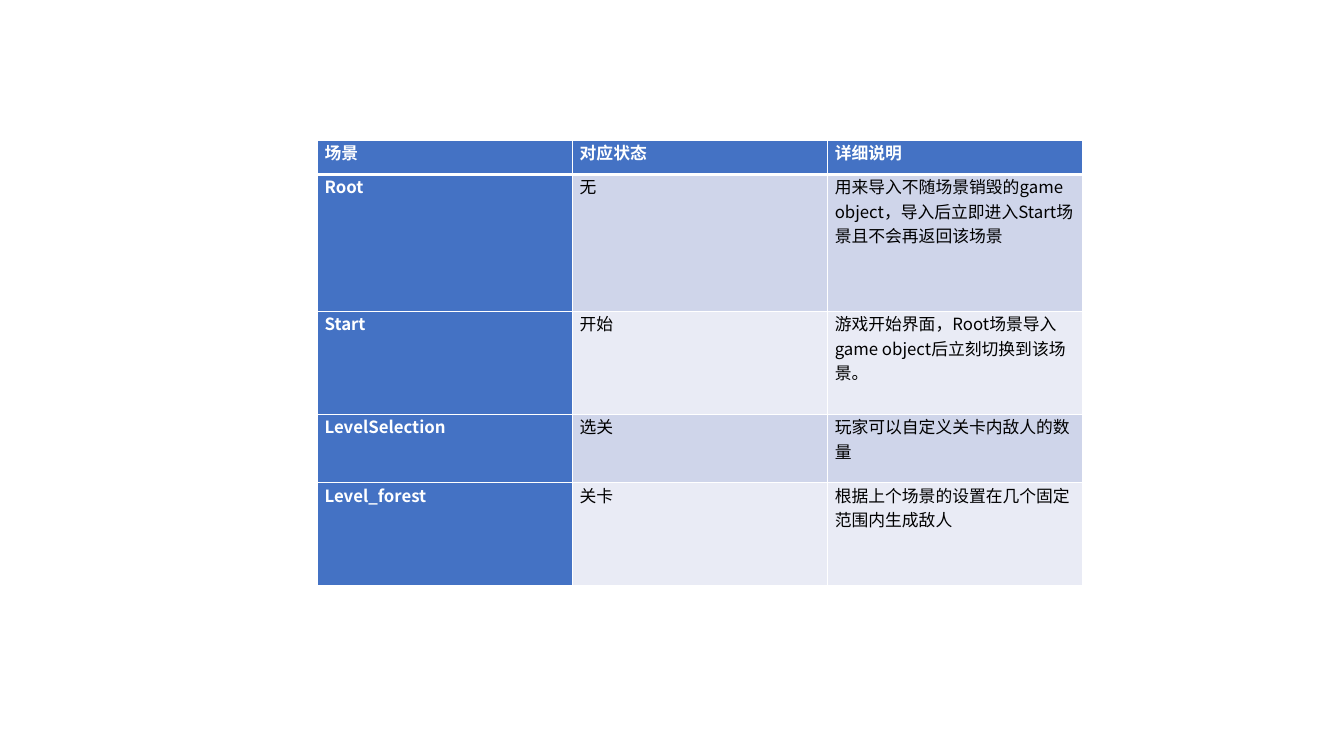
"""Build a slide with a table of game scenes and their states."""
import lxml.etree
import pptx
import pptx.dml.color
import pptx.oxml.ns
import pptx.util

ROWS = [
    ("场景", "对应状态", "详细说明"),
    ("Root", "无", "用来导入不随场景销毁的game object，导入后立即进入Start场景且不会再返回该场景"),
    ("Start", "开始", "游戏开始界面，Root场景导入game object后立刻切换到该场景。"),
    ("LevelSelection", "选关", "玩家可以自定义关卡内敌人的数量"),
    ("Level_forest", "关卡", "根据上个场景的设置在几个固定范围内生成敌人"),
]
ROW_LINES = (1, 4, 3, 2, 3)
LINE_HEIGHT, COL_WIDTH = 0.34, 2.53
LEFT, TOP = 3.15, 1.39
FONT = "Noto Sans CJK SC"
ACCENT, WHITE, BLACK = "4472C4", "FFFFFF", "000000"
BANDS = ("E9EBF5", "CFD5EA")
MARGINS = {"margin_left": 0.07, "margin_right": 0.07, "margin_top": 0, "margin_bottom": 0}


def rgb(color):
    """Turn a hex string into a colour."""
    return pptx.dml.color.RGBColor.from_string(color)


def add_borders(cell, widths):
    """Put white borders of the given point widths before the cell's fill."""
    tc_pr = cell._tc.get_or_add_tcPr()
    for i, (side, width) in enumerate(widths.items()):
        ln = lxml.etree.Element(pptx.oxml.ns.qn(f"a:ln{side}"), w=str(pptx.util.Pt(width)))
        fill = lxml.etree.SubElement(ln, pptx.oxml.ns.qn("a:solidFill"))
        lxml.etree.SubElement(fill, pptx.oxml.ns.qn("a:srgbClr"), val=WHITE)
        tc_pr.insert(i, ln)


def fill_cell(cell, text, row, col):
    """Write and format one cell by its place in the table."""
    strong = row == 0 or col == 0
    for name, value in MARGINS.items():
        setattr(cell, name, pptx.util.Inches(value))
    cell.fill.solid()
    cell.fill.fore_color.rgb = rgb(ACCENT if strong else BANDS[row % 2])
    add_borders(cell, {"L": 1, "R": 1, "T": 3 if row == 1 else 1, "B": 3 if row == 0 else 1})
    r = cell.text_frame.paragraphs[0].add_run()
    r.text = text
    for name, value in {"name": FONT, "size": pptx.util.Pt(12), "bold": strong}.items():
        setattr(r.font, name, value)
    r.font.color.rgb = rgb(WHITE if strong else BLACK)
    lxml.etree.SubElement(r._r.get_or_add_rPr(), pptx.oxml.ns.qn("a:ea"), typeface=FONT)


def main():
    """Lay out the slide and save it."""
    prs = pptx.Presentation()
    prs.slide_width, prs.slide_height = pptx.util.Inches(13.33), pptx.util.Inches(7.5)
    s = prs.slides.add_slide(prs.slide_layouts[6])
    cols = len(ROWS[0])
    box = (LEFT, TOP, COL_WIDTH * cols, LINE_HEIGHT * sum(ROW_LINES))
    table = s.shapes.add_table(len(ROWS), cols, *map(pptx.util.Inches, box)).table
    for column in table.columns:
        column.width = pptx.util.Inches(COL_WIDTH)
    for i, (texts, lines) in enumerate(zip(ROWS, ROW_LINES)):
        table.rows[i].height = pptx.util.Inches(LINE_HEIGHT * lines)
        for j, text in enumerate(texts):
            fill_cell(table.cell(i, j), text, i, j)
    prs.save("out.pptx")


if __name__ == "__main__":
    main()
